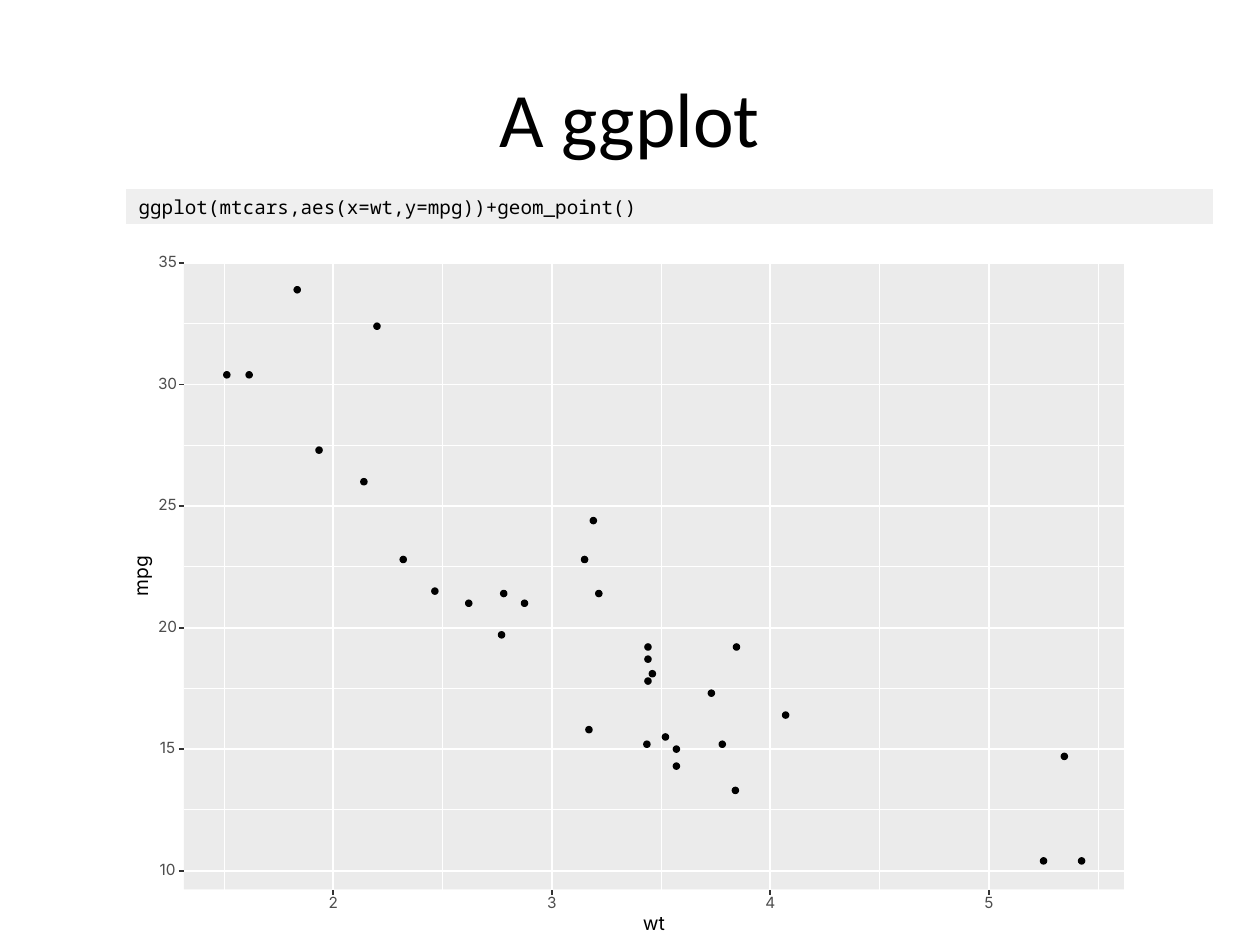
"""Build the slide "A ggplot": a line of code above a scatter plot of mpg against wt."""
from lxml.etree import SubElement
from pptx import Presentation
from pptx.dml.color import RGBColor
from pptx.enum.shapes import MSO_CONNECTOR, MSO_SHAPE
from pptx.enum.text import MSO_ANCHOR, PP_ALIGN
from pptx.oxml.ns import qn
from pptx.util import Inches, Pt

LEFT, TOP, RIGHT, BOTTOM = 1.46, 2.08, 8.92, 7.06
X_AT_2, X_UNIT = 2.645, 1.7345
Y_AT_10, Y_UNIT = 6.91, 0.1929
TICK, DOT = 0.04, 0.05
MINOR, MAJOR = 0.53, 1.07
NO_GRID_STYLE = "{2D5ABB26-0587-4C30-8999-92F81FD0307C}"

CARS = [
    (2.62, 21), (2.875, 21), (2.32, 22.8), (3.215, 21.4), (3.44, 18.7), (3.46, 18.1),
    (3.57, 14.3), (3.19, 24.4), (3.15, 22.8), (3.44, 19.2), (3.44, 17.8), (4.07, 16.4),
    (3.73, 17.3), (3.78, 15.2), (5.25, 10.4), (5.424, 10.4), (5.345, 14.7), (2.2, 32.4),
    (1.615, 30.4), (1.835, 33.9), (2.465, 21.5), (3.52, 15.5), (3.435, 15.2), (3.84, 13.3),
    (3.845, 19.2), (1.935, 27.3), (2.14, 26), (1.513, 30.4), (3.17, 15.8), (2.77, 19.7),
    (3.57, 15), (2.78, 21.4),
]


def color(value):
    return RGBColor.from_string(value)


def style_run(p, text, size, font, fill):
    r = p.add_run()
    r.text = text
    r.font.size = Pt(size)
    r.font.name = font
    r.font.color.rgb = color(fill)


prs = Presentation()
prs.slide_width, prs.slide_height = Inches(10), Inches(7.5)
s = prs.slides.add_slide(prs.slide_layouts[6])

title = s.shapes.add_textbox(Inches(0.5), Inches(0.3), Inches(9), Inches(1.25))
tf = title.text_frame
tf.word_wrap = True
tf.vertical_anchor = MSO_ANCHOR.MIDDLE
p = tf.paragraphs[0]
p.alignment = PP_ALIGN.CENTER
style_run(p, "A ggplot", 44, "Calibri", "000000")

frame = s.shapes.add_table(1, 2, Inches(1), Inches(1.5), Inches(8.63), Inches(0.28))
code = frame.table
code.first_row = code.horz_banding = False
for style in frame._element.iter(qn("a:tableStyleId")):
    style.text = NO_GRID_STYLE
for column, width in zip(code.columns, (0.1, 8.53)):
    column.width = Inches(width)
for cell in code.rows[0].cells:
    cell.fill.solid()
    cell.fill.fore_color.rgb = color("EFEFEF")
    cell.margin_left = cell.margin_top = cell.margin_right = cell.margin_bottom = 0
    cell.vertical_anchor = MSO_ANCHOR.MIDDLE
SubElement(code.cell(0, 0).text_frame.paragraphs[0]._p, qn("a:endParaRPr")).set("sz", "1100")
style_run(code.cell(0, 1).text_frame.paragraphs[0],
          "ggplot(mtcars,aes(x=wt,y=mpg))+geom_point()", 11, "Noto Sans Mono", "000000")

plot = s.shapes.add_group_shape().shapes
panels = [
    (1, 2, 8, 5.5, "FFFFFF"),
    (LEFT, TOP, RIGHT - LEFT, BOTTOM - TOP, "EBEBEB"),
]
for x, y, w, h, fill in panels:
    sp = plot.add_shape(MSO_SHAPE.RECTANGLE, Inches(x), Inches(y), Inches(w), Inches(h))
    sp.shadow.inherit = False
    sp.fill.solid()
    sp.fill.fore_color.rgb = color(fill)
    sp.line.fill.background()

x_ticks = [(n, X_AT_2 + (n - 2) * X_UNIT) for n in range(2, 6)]
y_ticks = [(n, Y_AT_10 - (n - 10) * Y_UNIT) for n in range(10, 36, 5)]
x_minor = [X_AT_2 + (n - 0.5) * X_UNIT for n in range(5)]
y_minor = [Y_AT_10 - (n + 0.5) * 5 * Y_UNIT for n in range(5)]
lines = [(LEFT, y, RIGHT, y, "FFFFFF", MINOR) for y in y_minor]
lines += [(x, BOTTOM, x, TOP, "FFFFFF", MINOR) for x in x_minor]
lines += [(LEFT, y, RIGHT, y, "FFFFFF", MAJOR) for n, y in y_ticks]
lines += [(x, BOTTOM, x, TOP, "FFFFFF", MAJOR) for n, x in x_ticks]
lines += [(LEFT - TICK, y, LEFT, y, "333333", MAJOR) for n, y in y_ticks]
lines += [(x, BOTTOM + TICK, x, BOTTOM, "333333", MAJOR) for n, x in x_ticks]
for x1, y1, x2, y2, stroke, width in lines:
    line = plot.add_connector(MSO_CONNECTOR.STRAIGHT, Inches(x1), Inches(y1), Inches(x2), Inches(y2))
    line.line.color.rgb = color(stroke)
    line.line.width = Pt(width)
    SubElement(line._element.spPr, qn("a:effectLst"))

for wt, mpg in CARS:
    x = X_AT_2 + (wt - 2) * X_UNIT - DOT / 2
    y = Y_AT_10 - (mpg - 10) * Y_UNIT - DOT / 2
    sp = plot.add_shape(MSO_SHAPE.OVAL, Inches(x), Inches(y), Inches(DOT), Inches(DOT))
    sp.shadow.inherit = False
    sp.fill.solid()
    sp.fill.fore_color.rgb = color("000000")
    sp.line.color.rgb = color("000000")
    sp.line.width = Pt(0.71)

labels = [(str(n), 1.33, y, 0.18, 0.09, 8.8, "4D4D4D", 0) for n, y in y_ticks]
labels += [(str(n), x, 7.17, 0.1, 0.09, 8.8, "4D4D4D", 0) for n, x in x_ticks]
labels += [
    ("wt", 5.19, 7.34, 0.22, 0.1, 11, "000000", 0),
    ("mpg", 1.13, 4.57, 0.38, 0.12, 11, "000000", 270),
]
for text, x, y, w, h, size, fill, rotation in labels:
    label = plot.add_textbox(Inches(x - w / 2), Inches(y - h / 2), Inches(w), Inches(h))
    label.rotation = rotation
    tf = label.text_frame
    tf.word_wrap = False
    tf.margin_left = tf.margin_top = tf.margin_right = tf.margin_bottom = 0
    tf.vertical_anchor = MSO_ANCHOR.MIDDLE
    p = tf.paragraphs[0]
    p.alignment = PP_ALIGN.CENTER
    p.line_spacing = Pt(size)
    style_run(p, text, size, "Inter", fill)

prs.save("out.pptx")
